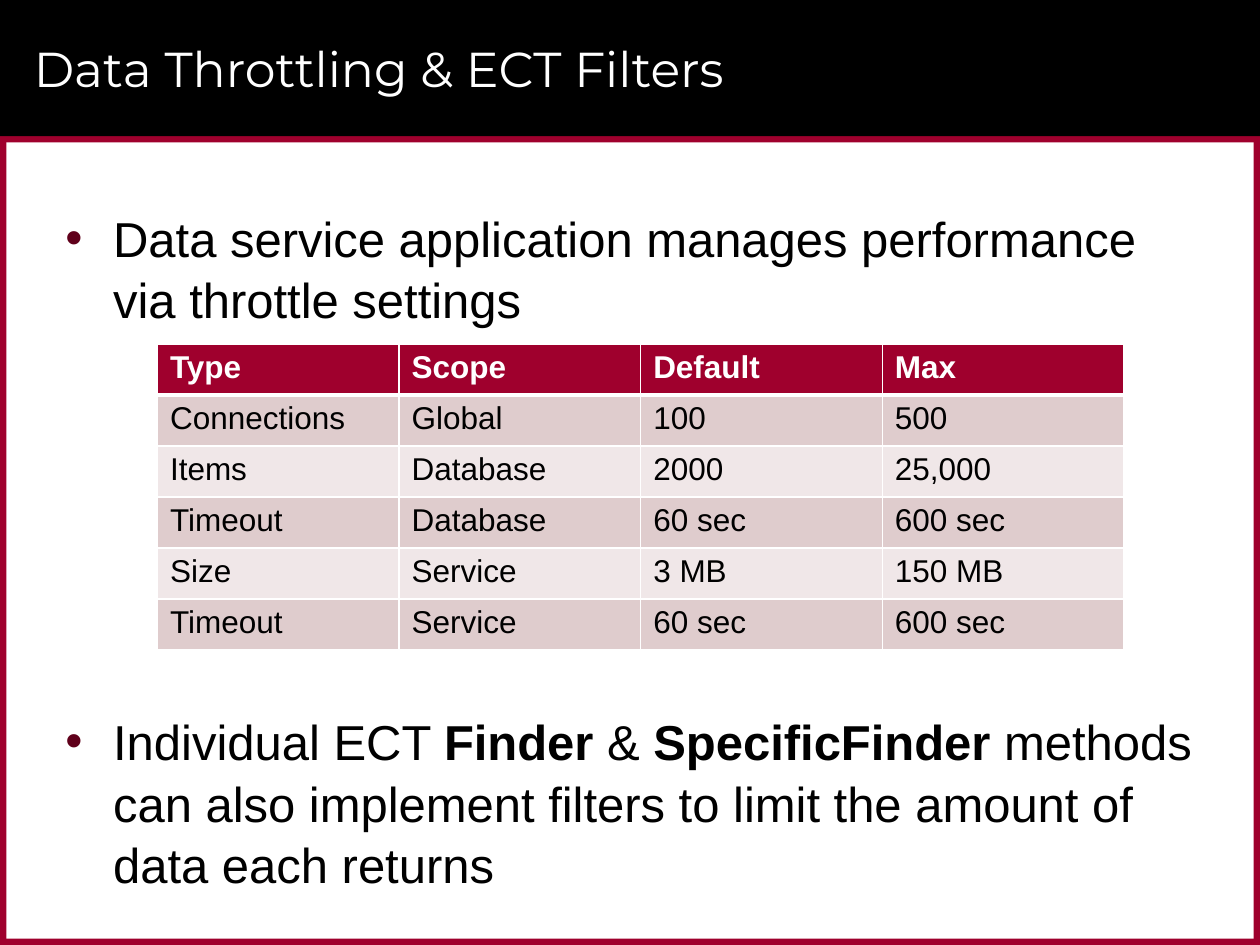
from lxml import etree
from pptx import Presentation
from pptx import util as u
from pptx.dml.color import RGBColor
from pptx.enum import shapes, text
from pptx.oxml import ns

Inches, Pt = u.Inches, u.Pt

COLORS = {
    "black": "000000",
    "white": "FFFFFF",
    "crimson": "9F002D",
    "bullet": "60001B",
    "band_dark": "DFCCCD",
    "band_light": "F0E7E8",
}

TITLE = {"name": "Montserrat", "size": Pt(28), "color": "white"}
BODY = {"name": "Arial", "size": Pt(28), "color": "black"}
TABLE_HEAD = {"name": "Arial", "size": Pt(18), "color": "white", "bold": True}
TABLE_BODY = {"name": "Arial", "size": Pt(18), "color": "black", "bold": False}

THROTTLES = [
    ["Type", "Scope", "Default", "Max"],
    ["Connections", "Global", "100", "500"],
    ["Items", "Database", "2000", "25,000"],
    ["Timeout", "Database", "60 sec", "600 sec"],
    ["Size", "Service", "3 MB", "150 MB"],
    ["Timeout", "Service", "60 sec", "600 sec"],
]

# Each bullet: space before in points, then (wording, bold) runs.
BULLETS = [
    (0, [("Data service application manages performance via throttle settings", False)]),
    (215, [
        ("Individual ECT ", False),
        ("Finder", True),
        (" & ", False),
        ("SpecificFinder", True),
        (" methods can also implement filters to limit the amount of data each returns", False),
    ]),
]


def rgb(name):
    return RGBColor.from_string(COLORS[name])


def format_font(font, values):
    for name, value in values.items():
        if name == "color":
            font.color.rgb = rgb(value)
        else:
            setattr(font, name, value)


def add_bar(slide, left, top, width, height, color):
    bar = slide.shapes.add_shape(
        shapes.MSO_SHAPE.RECTANGLE, *map(Inches, (left, top, width, height)))
    bar.shadow.inherit = False
    bar.fill.solid()
    bar.fill.fore_color.rgb = rgb(color)
    bar.line.fill.background()


def add_frame(slide, left, top, width, height, thickness=0.05):
    """Draw four bars just inside the box."""
    right, bottom = left + width - thickness, top + height - thickness
    for bar in [
        (left, top, width, thickness),
        (left, bottom, width, thickness),
        (right, top, thickness, height),
        (left, top, thickness, height),
    ]:
        add_bar(slide, *bar, "crimson")


def add_text_frame(slide, left, top, width, height, anchor):
    box = slide.shapes.add_textbox(*map(Inches, (left, top, width, height)))
    box.text_frame.word_wrap = True
    box.text_frame.vertical_anchor = anchor
    return box.text_frame


def add_header(slide, left, top, width, height):
    add_bar(slide, left, top, width, height, "black")
    frame = add_text_frame(slide, left + 0.17, top + 0.08, 9.42, 0.92,
                           text.MSO_ANCHOR.MIDDLE)
    paragraph = frame.paragraphs[0]
    paragraph.text = "Data Throttling & ECT Filters"
    format_font(paragraph.runs[0].font, TITLE)


def set_bullet(paragraph, indent):
    properties = paragraph._p.get_or_add_pPr()
    properties.set("marL", str(Inches(indent)))
    properties.set("indent", str(-Inches(indent)))
    color = etree.SubElement(properties, ns.qn("a:buClr"))
    etree.SubElement(color, ns.qn("a:srgbClr"), val=COLORS["bullet"])
    etree.SubElement(properties, ns.qn("a:buFont"), typeface="Arial")
    etree.SubElement(properties, ns.qn("a:buChar"), char="•")


def add_bullets(slide, left, top, width, height):
    frame = add_text_frame(slide, left, top, width, height, text.MSO_ANCHOR.TOP)
    for index, (space_before, runs) in enumerate(BULLETS):
        paragraph = frame.add_paragraph() if index else frame.paragraphs[0]
        set_bullet(paragraph, 0.38)
        paragraph.line_spacing = 1.05
        paragraph.space_before = Pt(space_before)
        paragraph.space_after = Pt(2)
        for wording, bold in runs:
            run = paragraph.add_run()
            run.text = wording
            format_font(run.font, {**BODY, "bold": bold})


def set_borders(cell, widths):
    properties = cell._tc.get_or_add_tcPr()
    for position, (side, width) in enumerate(widths.items()):
        line = etree.Element(ns.qn(f"a:ln{side}"), w=str(Pt(width)))
        fill = etree.SubElement(line, ns.qn("a:solidFill"))
        etree.SubElement(fill, ns.qn("a:srgbClr"), val=COLORS["white"])
        properties.insert(position, line)


def add_throttle_table(slide, left, top, width, height):
    row_count, column_count = len(THROTTLES), len(THROTTLES[0])
    table = slide.shapes.add_table(
        row_count, column_count, *map(Inches, (left, top, width, height))).table
    for column in table.columns:
        column.width = Inches(width / column_count)
    for row_index, values in enumerate(THROTTLES):
        table.rows[row_index].height = Inches(height / row_count)
        is_head = row_index == 0
        band = "band_dark" if row_index % 2 else "band_light"
        borders = {"L": 1, "R": 1, "T": 3 if row_index == 1 else 1,
                   "B": 3 if is_head else 1}
        for column_index, value in enumerate(values):
            cell = table.cell(row_index, column_index)
            cell.text = value
            cell.fill.solid()
            cell.fill.fore_color.rgb = rgb("crimson" if is_head else band)
            format_font(cell.text_frame.paragraphs[0].runs[0].font,
                        TABLE_HEAD if is_head else TABLE_BODY)
            set_borders(cell, borders)


def main():
    presentation = Presentation()
    presentation.slide_width = Inches(10)
    presentation.slide_height = Inches(7.5)
    slide = presentation.slides.add_slide(presentation.slide_layouts[6])
    add_frame(slide, 0, 1.08, 10, 6.42)
    add_header(slide, 0, 0, 10, 1.08)
    add_bullets(slide, 0.42, 1.58, 9.17, 5.67)
    add_throttle_table(slide, 1.25, 2.73, 7.67, 2.43)
    presentation.save("out.pptx")


if __name__ == "__main__":
    main()
